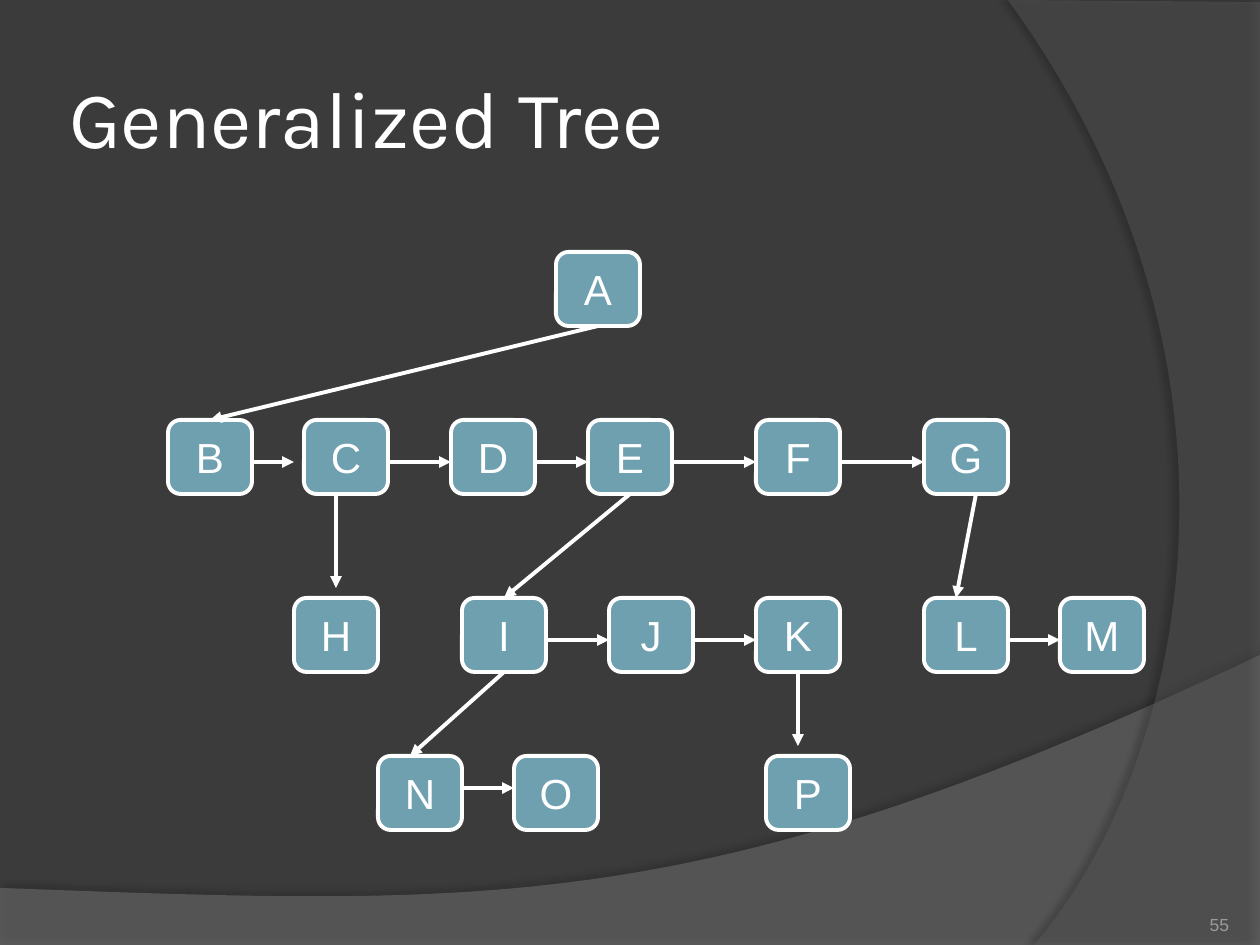
from itertools import pairwise

from lxml import etree
from pptx import Presentation
from pptx.dml.color import RGBColor
from pptx.enum.shapes import MSO_CONNECTOR, MSO_SHAPE
from pptx.enum.text import MSO_ANCHOR, PP_ALIGN
from pptx.oxml.ns import qn
from pptx.util import Pt

PIXEL = 914400 / 126
WIDTH, HEIGHT = 1260, 945
NODE_WIDTH, NODE_HEIGHT = 84, 74

ROUNDED = MSO_SHAPE.ROUNDED_RECTANGLE
STRAIGHT = MSO_CONNECTOR.STRAIGHT
MIDDLE, BOTTOM = MSO_ANCHOR.MIDDLE, MSO_ANCHOR.BOTTOM
LEFT, CENTER, RIGHT = PP_ALIGN.LEFT, PP_ALIGN.CENTER, PP_ALIGN.RIGHT

BACKGROUND = RGBColor(0x3B, 0x3B, 0x3B)
LOWER_WAVE = RGBColor(0x7F, 0x7F, 0x7F)
RIGHT_WAVE = RGBColor(0x5E, 0x5E, 0x5E)
NODE_FILL = RGBColor(0x6E, 0xA0, 0xB0)
WHITE = RGBColor(0xFF, 0xFF, 0xFF)
NUMBER_GRAY = RGBColor(0x9D, 0x9B, 0x9A)

# Each level: top, distance from top to sibling arrows, left edge of each node
LEVELS = [
    (252, 42, {"A": 556}),
    (420, 42, {"B": 168, "C": 304, "D": 451, "E": 588, "F": 756, "G": 924}),
    (598, 42, {"H": 294, "I": 462, "J": 609, "K": 756, "L": 924, "M": 1060}),
    (756, 32, {"N": 378, "O": 514, "P": 766}),
]
SIBLINGS = ["BCDEFG", "IJK", "LM", "NO"]
SHORTENED = {"C": 10}
CHILD_ARROWS = [
    ((598, 326), (210, 420)),
    ((336, 494), (336, 588)),
    ((630, 494), (504, 598)),
    ((976, 494), (956, 598)),
    ((504, 672), (410, 756)),
    ((798, 672), (798, 746)),
]


def emu(pixels):
    """Turn pixels into EMU."""
    return round(pixels * PIXEL)


def bezier(start, control_1, control_2, end, steps=60):
    """Return points along a cubic curve."""
    points = []
    for step in range(steps + 1):
        t = step / steps
        weights = ((1 - t) ** 3, 3 * t * (1 - t) ** 2, 3 * t * t * (1 - t), t ** 3)
        corners = (start, control_1, control_2, end)
        points.append(tuple(sum(w * corner[axis] for w, corner in zip(weights, corners))
                            for axis in (0, 1)))
    return points


def add_wave(slide, points, color, opacity, shadow_opacity, distance, direction):
    """Add a translucent shadowed outline behind the title."""
    points = [(emu(x), emu(y)) for x, y in points]
    builder = slide.shapes.build_freeform(*points[0])
    builder.add_line_segments(points[1:], close=True)
    wave = builder.convert_to_shape()
    wave.fill.solid()
    wave.fill.fore_color.rgb = color
    wave.line.fill.background()
    wave.shadow.inherit = False
    properties = wave.element.spPr
    fill_color = properties.find(qn("a:solidFill"))[0]
    etree.SubElement(fill_color, qn("a:alpha"), val=str(opacity * 1000))
    shadow = etree.SubElement(
        properties.find(qn("a:effectLst")), qn("a:outerShdw"), blurRad=str(Pt(4)),
        dist=str(Pt(distance)), dir=str(direction * 60000), rotWithShape="0")
    shadow_color = etree.SubElement(shadow, qn("a:srgbClr"), val="000000")
    etree.SubElement(shadow_color, qn("a:alpha"), val=str(shadow_opacity * 1000))
    slide.shapes.title.element.addprevious(wave.element)


def set_text(shape, text, size, font, color, alignment, anchor, inset=None, wrap=True):
    """Write one formatted paragraph into a shape."""
    frame = shape.text_frame
    frame.text = text
    frame.word_wrap = wrap
    frame.vertical_anchor = anchor
    if inset is not None:
        frame.margin_left = frame.margin_right = emu(inset)
        frame.margin_top = frame.margin_bottom = emu(inset)
    paragraph = frame.paragraphs[0]
    paragraph.alignment = alignment
    run = paragraph.runs[0]
    run.font.size = Pt(size)
    run.font.name = font
    run.font.color.rgb = color


def add_title(slide, text):
    """Place and format the title placeholder."""
    title = slide.shapes.title
    title.left, title.top, title.width, title.height = map(emu, (63, 38, 1029, 157))
    set_text(title, text, 46, "Karla", WHITE, LEFT, MIDDLE, inset=6)


def add_node(slide, letter, left, top):
    """Add one lettered tree node."""
    node = slide.shapes.add_shape(
        ROUNDED, *map(emu, (left, top, NODE_WIDTH, NODE_HEIGHT)))
    node.adjustments[0] = 0.17
    node.shadow.inherit = False
    node.fill.solid()
    node.fill.fore_color.rgb = NODE_FILL
    node.line.color.rgb = WHITE
    node.line.width = Pt(2.25)
    set_text(node, letter, 24, "Arial", WHITE, CENTER, MIDDLE, wrap=False)


def add_arrow(slide, start, end):
    """Add a straight arrow between two points."""
    arrow = slide.shapes.add_connector(STRAIGHT, *map(emu, start + end))
    arrow.line.color.rgb = WHITE
    arrow.line.width = Pt(2.25)
    properties = arrow.element.spPr
    etree.SubElement(properties.find(qn("a:ln")), qn("a:tailEnd"), type="triangle")
    etree.SubElement(properties, qn("a:effectLst"))


def add_tree(slide):
    """Add all nodes, then the child and sibling arrows."""
    places = {}
    for top, arrow_offset, nodes in LEVELS:
        for letter, left in nodes.items():
            add_node(slide, letter, left, top)
            places[letter] = (left, top + arrow_offset)
    for start, end in CHILD_ARROWS:
        add_arrow(slide, start, end)
    for family in SIBLINGS:
        for first, second in pairwise(family):
            left, y = places[first]
            end_x = places[second][0] - SHORTENED.get(second, 0)
            add_arrow(slide, (left + NODE_WIDTH, y), (end_x, y))


def add_slide_number(slide, number):
    """Add the page number at the lower right."""
    box = slide.shapes.add_textbox(*map(emu, (1124, 885, 105, 50)))
    set_text(box, number, 10, "Arial", NUMBER_GRAY, RIGHT, BOTTOM, inset=0)


def main():
    """Build and save the slide."""
    presentation = Presentation()
    presentation.slide_width, presentation.slide_height = emu(WIDTH), emu(HEIGHT)
    slide = presentation.slides.add_slide(presentation.slide_layouts[5])
    slide.background.fill.solid()
    slide.background.fill.fore_color.rgb = BACKGROUND

    lower_curve = bezier((WIDTH, 655), (704, 919), (493, 906), (0, 888))
    add_wave(slide, [(0, HEIGHT), (WIDTH, HEIGHT)] + lower_curve,
             LOWER_WAVE, 45, 35, 3.5, 270)
    right_curve = bezier((1034, HEIGHT), (1178, 780), (1283, 378), (1008, 0))
    add_wave(slide, [(WIDTH, 2), (WIDTH, HEIGHT)] + right_curve,
             RIGHT_WAVE, 40, 45, 4, 180)

    add_title(slide, "Generalized Tree")
    add_tree(slide)
    add_slide_number(slide, "55")
    presentation.save("out.pptx")


main()
